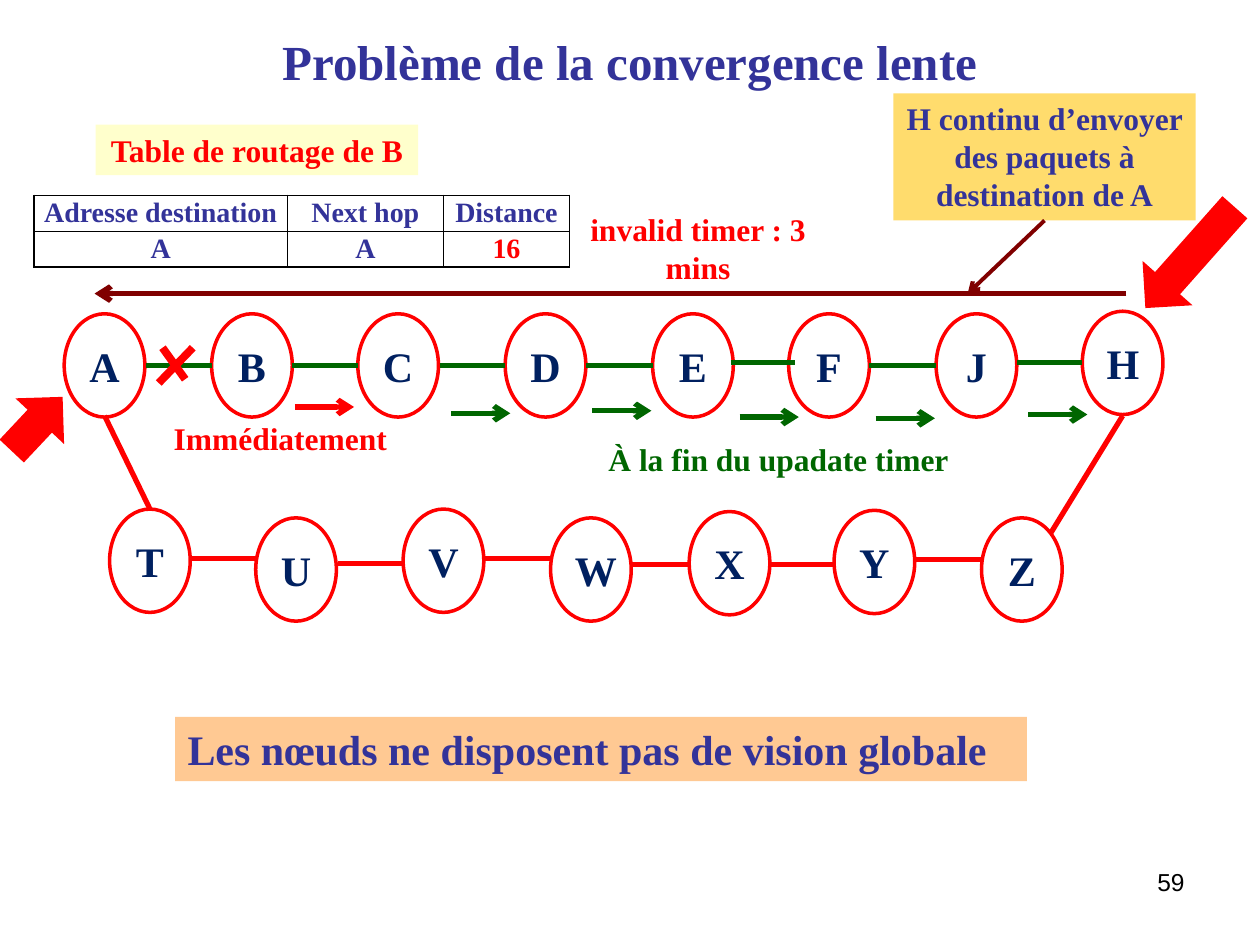
import pptx
import pptx.util
import pptx.dml.color
import pptx.enum.shapes
import pptx.enum.text
import pptx.oxml.ns
from lxml import etree

Inches = pptx.util.Inches
Pt = pptx.util.Pt
RGBColor = pptx.dml.color.RGBColor
Shape = pptx.enum.shapes.MSO_SHAPE
Align = pptx.enum.text.PP_ALIGN
Anchor = pptx.enum.text.MSO_ANCHOR
qn = pptx.oxml.ns.qn

RED = RGBColor(0xFF, 0x00, 0x00)
GREEN = RGBColor(0x00, 0x66, 0x00)
BLUE = RGBColor(0x33, 0x33, 0x99)
NAVY = RGBColor(0x00, 0x20, 0x60)
MAROON = RGBColor(0x80, 0x00, 0x00)
BLACK = RGBColor(0x00, 0x00, 0x00)
WHITE = RGBColor(0xFF, 0xFF, 0xFF)
CREAM = RGBColor(0xFF, 0xFF, 0xCC)
GOLD = RGBColor(0xFF, 0xDC, 0x6D)
PEACH = RGBColor(0xFF, 0xC9, 0x93)

deck = pptx.Presentation()
deck.slide_width = Inches(10)
deck.slide_height = Inches(7.5)
slide = deck.slides.add_slide(deck.slide_layouts[6])
shapes = slide.shapes


def write(frame, text, size, color, align=Align.CENTER, bold=True, font="Times New Roman"):
    frame.word_wrap = True
    par = frame.paragraphs[0]
    par.text = text
    par.alignment = align
    par.font.name = font
    par.font.size = Pt(size)
    par.font.bold = bold
    par.font.color.rgb = color


def link(x1, y1, x2, y2, color, width=3, arrow=False):
    line = shapes.add_connector(
        pptx.enum.shapes.MSO_CONNECTOR.STRAIGHT,
        Inches(x1), Inches(y1), Inches(x2), Inches(y2))
    line.line.color.rgb = color
    line.line.width = Pt(width)
    if arrow:
        etree.SubElement(line.line._get_or_add_ln(), qn("a:tailEnd"), type="arrow")
    etree.SubElement(line._element.spPr, qn("a:effectLst"))


# Title and page number
title = shapes.add_textbox(Inches(0.5), Inches(0.22), Inches(9), Inches(0.53))
title.text_frame.vertical_anchor = Anchor.MIDDLE
write(title.text_frame, "Problème de la convergence lente", 28, BLUE)
page = shapes.add_textbox(Inches(7.17), Inches(6.83), Inches(2.33), Inches(0.52))
write(page.text_frame, "59", 14, BLACK, Align.RIGHT, False, "Arial")

# Network nodes
nodes = [
    ("A", 0.51, 2.49), ("B", 1.68, 2.49), ("C", 2.84, 2.49), ("D", 4.01, 2.49),
    ("E", 5.18, 2.49), ("F", 6.26, 2.49), ("J", 7.43, 2.49), ("H", 8.59, 2.47),
    ("T", 0.87, 4.04), ("U", 2.03, 4.11), ("V", 3.2, 4.04), ("W", 4.37, 4.11),
    ("X", 5.47, 4.06), ("Y", 6.62, 4.05), ("Z", 7.79, 4.11),
]
for name, x, y in nodes:
    node = shapes.add_shape(Shape.OVAL, Inches(x), Inches(y), Inches(0.64), Inches(0.82))
    node.shadow.inherit = False
    node.fill.solid()
    node.fill.fore_color.rgb = WHITE
    node.line.color.rgb = RED
    node.line.width = Pt(2)
    node.text_frame.vertical_anchor = Anchor.MIDDLE
    write(node.text_frame, name, 24, NAVY)

# Level links of the upper and lower paths
for color, spans in (
    (GREEN, [(1.16, 1.68, 2.9), (2.32, 2.84, 2.9), (3.49, 4.01, 2.9), (4.65, 5.18, 2.9),
             (5.8, 6.31, 2.88), (6.9, 7.43, 2.9), (8.07, 8.59, 2.88)]),
    (RED, [(1.51, 2.03, 4.43), (2.68, 3.2, 4.47), (3.84, 4.37, 4.43), (5.01, 5.47, 4.48),
           (6.1, 6.62, 4.48), (7.26, 7.79, 4.44)]),
):
    for left, right, y in spans:
        link(left, y, right, y, color)

# Slanted links between the paths, then the cross on A-B
link(0.83, 3.3, 1.19, 4.04, RED)
link(8.34, 4.23, 8.91, 3.3, RED)
link(1.53, 2.76, 1.26, 3.04, RED, 4.5)
link(1.29, 2.76, 1.47, 3.01, RED, 4.5)

# Update arrows
for x, y, color in (
    (2.34, 3.23, RED), (3.58, 3.28, GREEN), (4.7, 3.26, GREEN),
    (5.87, 3.31, GREEN), (6.95, 3.32, GREEN), (8.16, 3.29, GREEN),
):
    link(x, y, x + 0.47, y, color, arrow=True)

# Routing table
rows = [("Adresse destination", "Next hop", "Distance"), ("A", "A", "16")]
table = shapes.add_table(2, 3, Inches(0.27), Inches(1.55), Inches(4.25), Inches(0.57)).table
table.first_row = False
table.horz_banding = False
for col, width in zip(table.columns, (2.01, 1.24, 1)):
    col.width = Inches(width)
for r, row in enumerate(rows):
    table.rows[r].height = Inches(0.285)
    for c, text in enumerate(row):
        cell = table.cell(r, c)
        cell.margin_left = cell.margin_right = Inches(0.07)
        cell.margin_top = cell.margin_bottom = 0
        write(cell.text_frame, text, 16, RED if text == "16" else BLUE)
        cell.text_frame.paragraphs[0].line_spacing = 1.07
        props = cell._tc.get_or_add_tcPr()
        for side in ("a:lnL", "a:lnR", "a:lnT", "a:lnB"):
            edge = etree.SubElement(props, qn(side), w=str(Pt(1)))
            fill = etree.SubElement(edge, qn("a:solidFill"))
            etree.SubElement(fill, qn("a:srgbClr"), val=str(BLACK))
        cell.fill.background()

# Labels and coloured boxes
for text, x, y, w, h, size, color, back, align in (
    ("Table de routage de B", 0.76, 0.99, 2.56, 0.4, 18, RED, CREAM, Align.CENTER),
    ("invalid timer : 3 mins", 4.54, 1.62, 2, 0.7, 18, RED, None, Align.CENTER),
    ("Immédiatement", 1.26, 3.28, 1.93, 0.4, 18, RED, None, Align.CENTER),
    ("À la fin du upadate timer", 4.71, 3.44, 2.94, 0.4, 18, GREEN, None, Align.CENTER),
    ("H continu d’envoyer des paquets à destination de A",
     7.09, 0.74, 2.4, 1.01, 18, BLUE, GOLD, Align.CENTER),
    ("Les nœuds ne disposent pas de vision globale",
     1.39, 5.69, 6.76, 0.51, 24, BLUE, PEACH, Align.LEFT),
):
    label = shapes.add_textbox(Inches(x), Inches(y), Inches(w), Inches(h))
    if back:
        label.fill.solid()
        label.fill.fore_color.rgb = back
    write(label.text_frame, text, size, color, align)

# Block arrows pointing at H and A
for x, y, w, turn in ((8.91, 1.78, 1.07, 131.6), (0, 3.1, 0.59, 313.2)):
    block = shapes.add_shape(Shape.RIGHT_ARROW, Inches(x), Inches(y), Inches(w), Inches(0.53))
    block.rotation = turn
    block.shadow.inherit = False
    block.fill.solid()
    block.fill.fore_color.rgb = RED
    block.line.fill.background()

# Packet flow from H to A, and its callout line
link(8.94, 2.33, 0.75, 2.33, MAROON, arrow=True)
link(8.29, 1.75, 7.68, 2.33, MAROON, 2.25, arrow=True)

deck.save("out.pptx")
